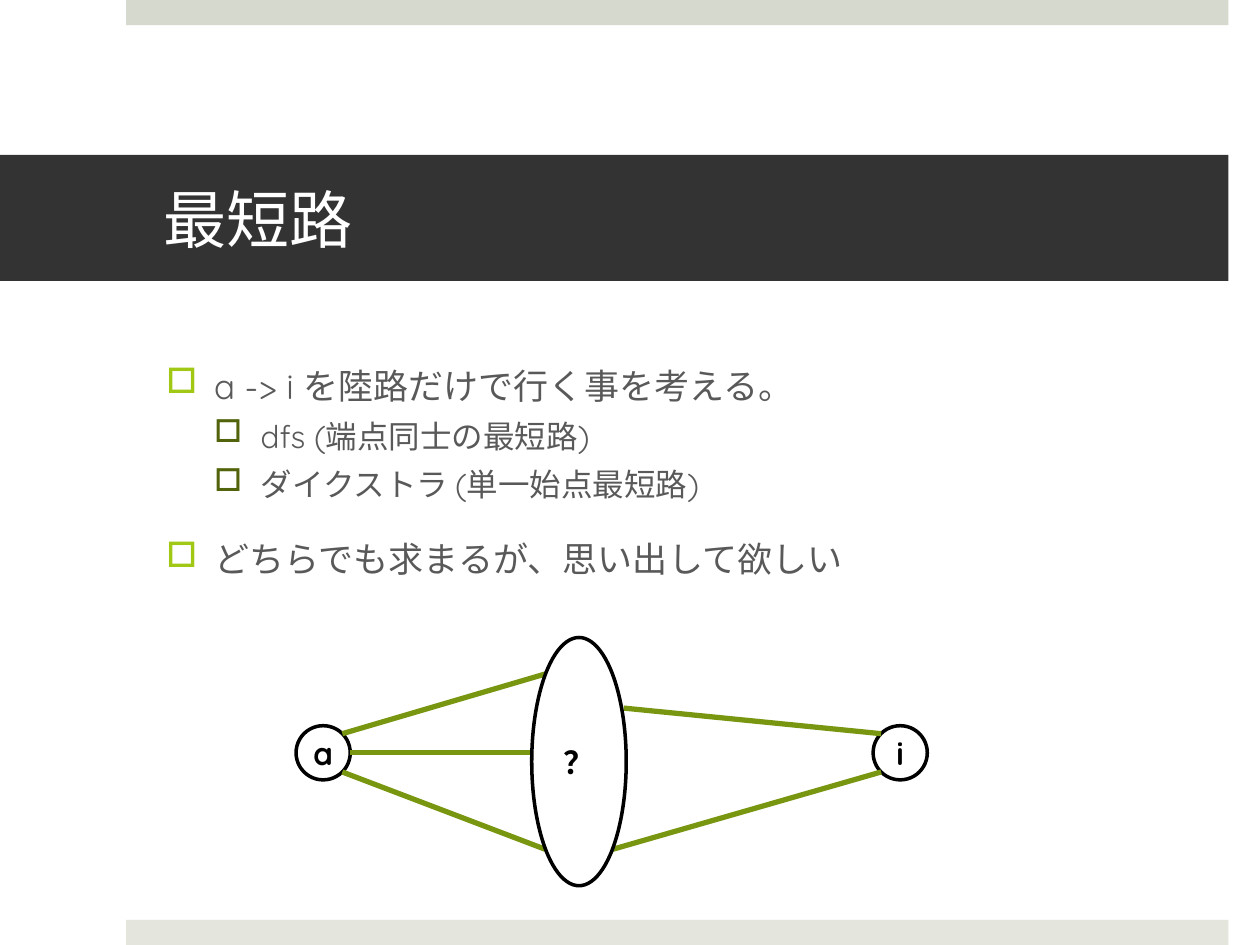
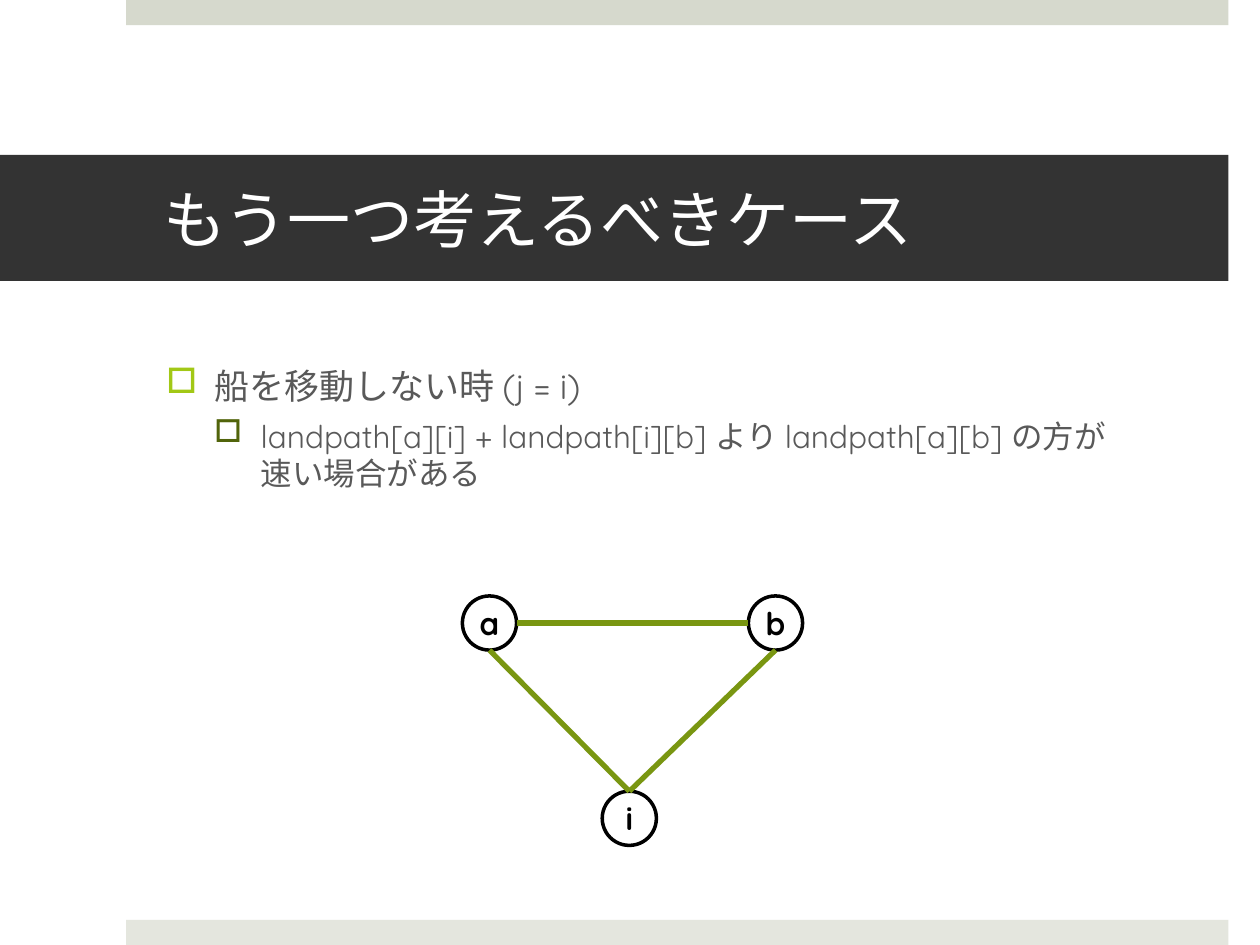
from dataclasses import dataclass
from math import cos, radians, sin

from lxml import etree
from pptx import Presentation
from pptx.dml.color import RGBColor
from pptx.enum.shapes import MSO_CONNECTOR, MSO_SHAPE
from pptx.enum.text import MSO_ANCHOR, MSO_AUTO_SIZE, PP_ALIGN
from pptx.oxml.ns import qn
from pptx.util import Inches, Pt

RECT, OVAL = MSO_SHAPE.RECTANGLE, MSO_SHAPE.OVAL
STRAIGHT = MSO_CONNECTOR.STRAIGHT
MIDDLE = MSO_ANCHOR.MIDDLE
LEFT, CENTER = PP_ALIGN.LEFT, PP_ALIGN.CENTER
NO_FIT = MSO_AUTO_SIZE.NONE
TITLE_ONLY = 5
RIGHT, LOWER_RIGHT, BOTTOM, LOWER_LEFT = 0, 45, 90, 135
SIDE_LEFT, UPPER_LEFT, TOP, UPPER_RIGHT = 180, 225, 270, 315

Point = tuple[float, float]


@dataclass(frozen=True)
class Theme:
    font: str = "Quicksand"
    title_fill: str = "333333"
    title_text: str = "FFFFFF"
    body_text: str = "595959"
    node_fill: str = "FFFFFF"
    node_ink: str = "000000"
    link: str = "799611"
    title_size: int = 36
    node_size: int = 18
    node_line: int = 2
    link_line: int = 3


@dataclass(frozen=True)
class Band:
    top: float
    color: str


@dataclass(frozen=True)
class Level:
    size: int
    before: int
    margin: float
    hang: float
    bullet: str


@dataclass(frozen=True)
class Bullet:
    text: str
    level: int = 0


@dataclass(frozen=True)
class Node:
    label: str
    left: float
    top: float
    width: float = 0.43
    height: float = 0.43

    def edge(self, angle: int) -> Point:
        rx, ry = self.width / 2, self.height / 2
        return (self.left + rx + rx * cos(radians(angle)),
                self.top + ry + ry * sin(radians(angle)))


@dataclass(frozen=True)
class Link:
    start: Point
    end: Point


@dataclass(frozen=True)
class Page:
    title: str
    bullets: list[Bullet]
    body_height: float
    nodes: list[Node]
    links: list[Link]
    hubs: list[Node]


THEME = Theme()
BANDS = [Band(0, "D6D9CD"), Band(7.3, "E4E6DE")]
LEVELS = [Level(20, 20, 0.38, -0.38, "A2C816"),
          Level(18, 6, 0.75, -0.37, "51640B")]


def apply(target, values: dict) -> None:
    for name, value in values.items():
        setattr(target, name, value)


def paint(sp, color: str) -> None:
    sp.fill.solid()
    sp.fill.fore_color.rgb = RGBColor.from_string(color)


def write(p, text: str, size: int, color: str, bold: bool = False) -> None:
    p.text = text
    for r in p.runs:
        apply(r.font, {"name": THEME.font, "size": Pt(size), "bold": bold})
        r.font.color.rgb = RGBColor.from_string(color)


def add_band(s, band: Band) -> None:
    sp = s.shapes.add_shape(RECT, Inches(1), Inches(band.top),
                            Inches(8.75), Inches(0.2))
    sp.shadow.inherit = False
    paint(sp, band.color)
    sp.line.fill.background()


def set_title(s, text: str) -> None:
    sp = s.shapes.title
    apply(sp, {"left": Inches(0), "top": Inches(1.23),
               "width": Inches(9.75), "height": Inches(1)})
    paint(sp, THEME.title_fill)
    tf = sp.text_frame
    apply(tf, {"margin_left": Inches(1.3), "margin_right": Inches(0.3),
               "margin_top": Inches(0.05), "margin_bottom": Inches(0.05),
               "vertical_anchor": MIDDLE, "auto_size": NO_FIT,
               "word_wrap": True})
    p = tf.paragraphs[0]
    write(p, text, THEME.title_size, THEME.title_text)
    p.alignment = LEFT


def add_bullets(s, bullets: list[Bullet], height: float) -> None:
    sp = s.shapes.add_textbox(Inches(1.22), Inches(2.84),
                              Inches(8.32), Inches(height))
    tf = sp.text_frame
    tf.word_wrap = True
    for i, bullet in enumerate(bullets):
        p = tf.add_paragraph() if i else tf.paragraphs[0]
        level = LEVELS[bullet.level]
        write(p, bullet.text, level.size, THEME.body_text)
        apply(p, {"level": bullet.level, "space_before": Pt(level.before)})
        pPr = p._p.get_or_add_pPr()
        pPr.set("marL", str(Inches(level.margin)))
        pPr.set("indent", str(Inches(level.hang)))
        color = etree.SubElement(pPr, qn("a:buClr"))
        etree.SubElement(color, qn("a:srgbClr"), val=level.bullet)
        etree.SubElement(pPr, qn("a:buChar"), char="□")


def add_node(s, node: Node) -> None:
    sp = s.shapes.add_shape(OVAL, Inches(node.left), Inches(node.top),
                            Inches(node.width), Inches(node.height))
    sp.shadow.inherit = False
    paint(sp, THEME.node_fill)
    sp.line.color.rgb = RGBColor.from_string(THEME.node_ink)
    sp.line.width = Pt(THEME.node_line)
    tf = sp.text_frame
    apply(tf, {"vertical_anchor": MIDDLE, "word_wrap": False})
    p = tf.paragraphs[0]
    write(p, node.label, THEME.node_size, THEME.node_ink, bold=True)
    p.alignment = CENTER


def add_link(s, link: Link) -> None:
    ends = [Inches(v) for v in (*link.start, *link.end)]
    sp = s.shapes.add_connector(STRAIGHT, *ends)
    sp.line.color.rgb = RGBColor.from_string(THEME.link)
    sp.line.width = Pt(THEME.link_line)
    etree.SubElement(sp._element.spPr, qn("a:effectLst"))


def add_page(prs, page: Page) -> None:
    s = prs.slides.add_slide(prs.slide_layouts[TITLE_ONLY])
    for band in BANDS:
        add_band(s, band)
    set_title(s, page.title)
    add_bullets(s, page.bullets, page.body_height)
    for node in page.nodes:
        add_node(s, node)
    for link in page.links:
        add_link(s, link)
    for hub in page.hubs:
        add_node(s, hub)


def shortest_path() -> Page:
    a, i = Node("a", 2.35, 5.76), Node("i", 6.93, 5.76)
    hub = Node("？", 4.22, 5.06, 0.75, 1.97)
    return Page(
        "最短路",
        [Bullet("a -> i を陸路だけで行く事を考える。"),
         Bullet("dfs (端点同士の最短路)", 1),
         Bullet("ダイクストラ (単一始点最短路)", 1),
         Bullet("どちらでも求まるが、思い出して欲しい")],
        2.79,
        [a, i],
        [Link(hub.edge(UPPER_LEFT), a.edge(UPPER_RIGHT)),
         Link(hub.edge(LOWER_LEFT), a.edge(LOWER_RIGHT)),
         Link((hub.left, a.edge(RIGHT)[1]), a.edge(RIGHT)),
         Link(i.edge(UPPER_LEFT), (4.95, 5.62)),
         Link(i.edge(LOWER_LEFT), hub.edge(LOWER_RIGHT))],
        [hub])


def other_case() -> Page:
    a, b, i = Node("a", 3.67, 4.73), Node("b", 5.94, 4.73), Node("i", 4.78, 6.28)
    return Page(
        "もう一つ考えるべきケース",
        [Bullet("船を移動しない時 (j = i)"),
         Bullet("landpath[a][i] + landpath[i][b] より landpath[a][b] の方が\v"
                "速い場合がある", 1)],
        1.71,
        [a, b, i],
        [Link(i.edge(TOP), a.edge(BOTTOM)),
         Link(i.edge(TOP), b.edge(BOTTOM)),
         Link(b.edge(SIDE_LEFT), a.edge(RIGHT))],
        [])


def main() -> None:
    prs = Presentation()
    apply(prs, {"slide_width": Inches(10), "slide_height": Inches(7.5)})
    for page in (shortest_path(), other_case()):
        add_page(prs, page)
    prs.save("out.pptx")


main()
